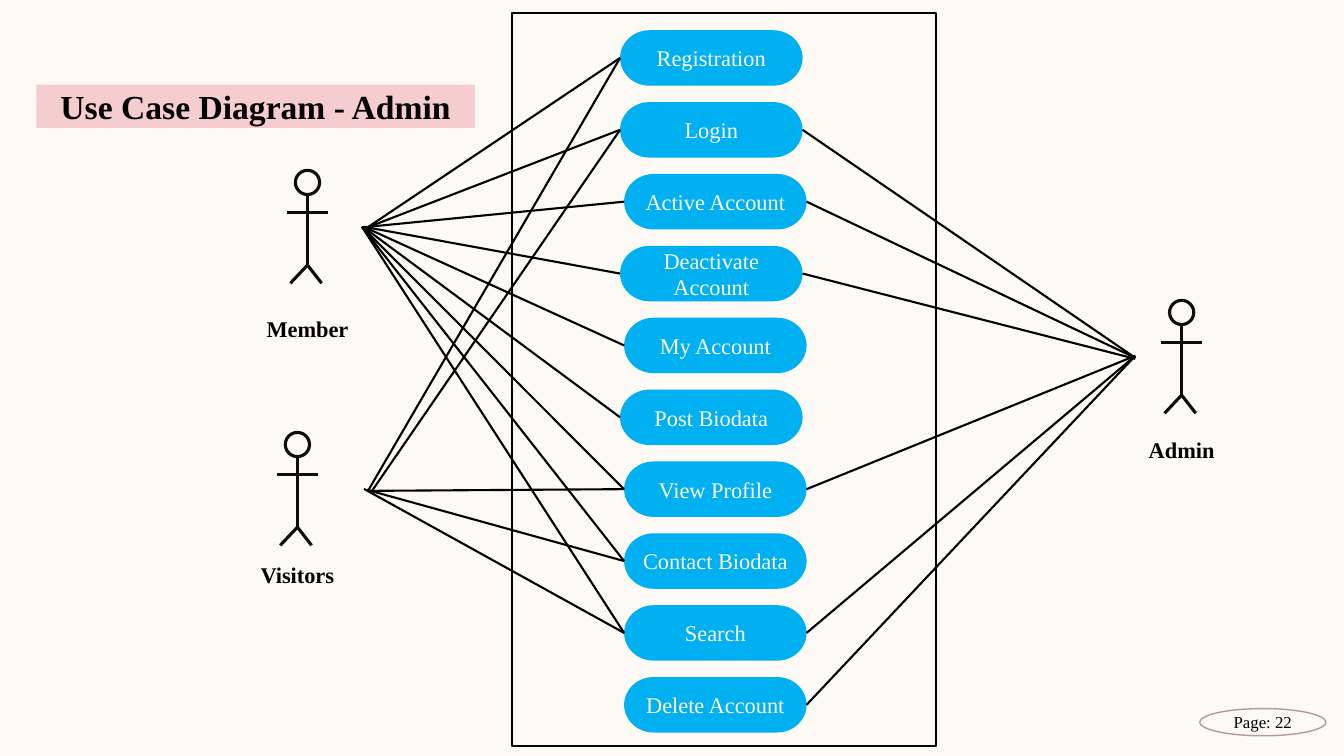
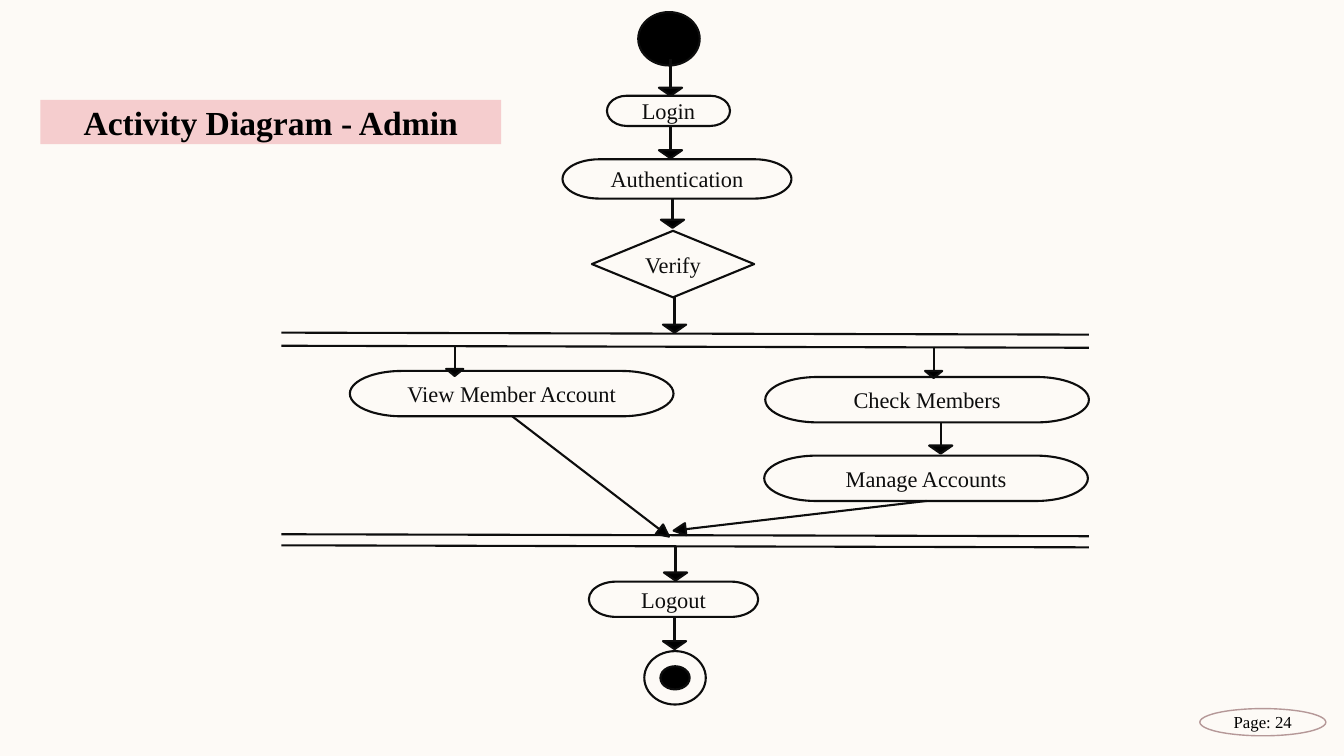
import math

import lxml.etree
import pptx
import pptx.dml.color
import pptx.enum.shapes
import pptx.enum.text
import pptx.oxml.ns
import pptx.util

SHAPE = pptx.enum.shapes.MSO_SHAPE
LEFT_SITE, RIGHT_SITE = 1, 3  # connection sites of a terminator
FONT = "Times New Roman"
COLORS = {
    "paper": "FDFAF6",
    "band": "F5CDCE",
    "case": "00B0F0",
    "ink": "0D0D0D",
    "black": "000000",
    "badge": "B59898",
}

# The slide is 75 grid rows high; columns are as wide as rows are high
WIDTH, HEIGHT = pptx.util.Inches(13.33), pptx.util.Inches(7.5)
CELL = HEIGHT / 75

# Use cases from top to bottom, with their left columns
CASE_TOP, CASE_PITCH, CASE_SIZE = 3, 7.13, (18.1, 5.5)
CASES = {
    "Registration": 61.5,
    "Login": 61.5,
    "Active Account": 61.9,
    "Deactivate Account": 61.5,
    "My Account": 61.9,
    "Post Biodata": 61.5,
    "View Profile": 61.9,
    "Contact Biodata": 61.9,
    "Search": 61.9,
    "Delete Account": 61.9,
}

# Actors: name, centre column, head row, label row, side of the cases,
# and where the line from each use case ends
ACTORS = [
    ("Member", 30.5, 16.9, 29.8, LEFT_SITE, {
        "Registration": (36.1, 22.8),
        "Login": (36.6, 22.5),
        "Active Account": (36.5, 22.5),
        "Deactivate Account": (36.1, 22.5),
        "My Account": (36.5, 22.7),
        "Post Biodata": (36, 22.5),
        "View Profile": (35.9, 22.5),
        "Contact Biodata": (35.9, 22.5),
        "Search": (35.9, 22.5),
    }),
    ("Visitors", 29.5, 42.9, 54.2, LEFT_SITE, {
        "Registration": (36.5, 48.7),
        "Login": (36.9, 48.7),
        "View Profile": (36.6, 48.7),
        "Contact Biodata": (36.4, 48.6),
        "Search": (36.1, 48.5),
    }),
    ("Admin", 117.2, 29.8, 41.8, RIGHT_SITE, {
        "Login": (112.6, 35.5),
        "Active Account": (112.6, 35.5),
        "Deactivate Account": (112.6, 35.6),
        "View Profile": (112.6, 35.3),
        "Search": (112.6, 35.3),
        "Delete Account": (112.6, 35.3),
    }),
]

# Activity steps: text, preset, left, top, width, height
STEPS = [
    ("Login", SHAPE.FLOWCHART_TERMINATOR, 60.2, 9.5, 12.2, 3),
    ("Authentication", SHAPE.FLOWCHART_TERMINATOR, 55.8, 15.8, 22.7, 3.9),
    ("Verify", SHAPE.FLOWCHART_DECISION, 58.7, 22.9, 16.1, 6.6),
    ("View Member Account", SHAPE.FLOWCHART_TERMINATOR, 34.7, 36.8, 32.1, 4.5),
    ("Check Members", SHAPE.FLOWCHART_TERMINATOR, 75.9, 37.4, 32.1, 4.5),
    ("Manage Accounts", SHAPE.FLOWCHART_TERMINATOR, 75.8, 45.2, 32.1, 4.5),
    ("Logout", SHAPE.FLOWCHART_TERMINATOR, 58.4, 57.7, 16.8, 3.5),
]

# Arrows: start column and row, end column and row
WIDE_HEAD, SMALL_HEAD, SLANTED_HEAD = (2.3, 0.8), (1.7, 0.7), (1.2, 1.2)
ARROWS = {
    WIDE_HEAD: [
        (66.5, 5.9, 66.5, 8.7),
        (66.5, 12.5, 66.5, 14.9),
        (66.7, 19.7, 66.7, 21.8),
        (66.9, 29.4, 66.9, 32.2),
        (93.3, 42, 93.3, 44.2),
        (67, 54.2, 67, 56.8),
        (66.9, 61.3, 66.9, 63.6),
    ],
    SMALL_HEAD: [(45.1, 34.3, 45.1, 36.6), (92.6, 34.4, 92.6, 36.8)],
    SLANTED_HEAD: [(50.8, 41.3, 65.4, 52.5), (91.9, 49.7, 68, 52.5)],
}
BAR_ROWS = (33, 34.3, 53, 54.1)


def grid(*cells):
    return [round(c * CELL) for c in cells]


def rgb(name):
    return pptx.dml.color.RGBColor.from_string(COLORS[name])


def write(sp, text, size, color, bold=False):
    tf = sp.text_frame
    tf.word_wrap = True
    tf.auto_size = pptx.enum.text.MSO_AUTO_SIZE.NONE
    tf.vertical_anchor = pptx.enum.text.MSO_ANCHOR.MIDDLE
    tf.margin_left = tf.margin_right = pptx.util.Inches(0.05)
    p = tf.paragraphs[0]
    p.text = text
    p.alignment = pptx.enum.text.PP_ALIGN.CENTER
    p.font.name, p.font.size, p.font.bold = FONT, pptx.util.Pt(size), bold
    p.font.color.rgb = rgb(color)


def add_shape(s, preset, at, fill=None, line=None, weight=1.5):
    sp = s.shapes.add_shape(preset, *grid(*at))
    sp.shadow.inherit = False
    if fill:
        sp.fill.solid()
        sp.fill.fore_color.rgb = rgb(fill)
    else:
        sp.fill.background()
    if line:
        sp.line.color.rgb = rgb(line)
        sp.line.width = pptx.util.Pt(weight)
    else:
        sp.line.fill.background()
    return sp


def add_line(s, x0, y0, x1, y1, color="ink", weight=1.5):
    ln = s.shapes.add_connector(
        pptx.enum.shapes.MSO_CONNECTOR.STRAIGHT, *grid(x0, y0, x1, y1))
    ln.line.color.rgb = rgb(color)
    ln.line.width = pptx.util.Pt(weight)
    lxml.etree.SubElement(ln._element.spPr, pptx.oxml.ns.qn("a:effectLst"))
    return ln


def add_arrow(s, x0, y0, x1, y1, head):
    """Line with a triangle whose base sits on the line's end."""
    add_line(s, x0, y0, x1, y1)
    w, h = head
    dx, dy = x1 - x0, y1 - y0
    reach = h / 2 / math.hypot(dx, dy)
    cx, cy = x1 + dx * reach, y1 + dy * reach
    sp = add_shape(s, SHAPE.FLOWCHART_EXTRACT,
                   (cx - w / 2, cy - h / 2, w, h), "black", "ink")
    sp.rotation = math.degrees(math.atan2(dx, -dy))


def add_actor(s, name, cx, top, label_top):
    add_shape(s, SHAPE.OVAL, (cx - 1.2, top, 2.4, 2.4), None, "ink", 2.25)
    hip, feet = top + 9.4, top + 11.2
    limbs = [
        (cx, top + 2.5, cx, hip),
        (cx - 2, top + 4.2, cx + 2, top + 4.2),
        (cx, hip, cx - 1.7, feet),
        (cx, hip, cx + 1.4, feet),
    ]
    for limb in limbs:
        add_line(s, *limb, weight=2.25)
    label = s.shapes.add_textbox(*grid(cx - 11.3, label_top, 22.6, 5.5))
    write(label, name, 16, "black", bold=True)


def add_slide(prs, title, band, page):
    """Slide with its title band and page badge."""
    s = prs.slides.add_slide(prs.slide_layouts[5])
    sp = s.shapes.title
    sp.left, sp.top, sp.width, sp.height = grid(*band)
    sp.fill.solid()
    sp.fill.fore_color.rgb = rgb("band")
    write(sp, title, 24, "black", bold=True)
    badge = add_shape(s, SHAPE.OVAL, (119, 70.3, 12.5, 2.7), None, "badge", 1)
    write(badge, f"Page: {page}", 12, "black")
    return s


def use_case_slide(prs):
    s = add_slide(prs, "Use Case Diagram - Admin", (3.6, 8.4, 43.5, 4.3), 22)
    add_shape(s, SHAPE.RECTANGLE, (50.8, 1.3, 42, 72.7), None, "black")

    # Use cases
    cases = {}
    for i, (name, left) in enumerate(CASES.items()):
        at = (left, CASE_TOP + i * CASE_PITCH, *CASE_SIZE)
        cases[name] = add_shape(s, SHAPE.FLOWCHART_TERMINATOR, at, "case")
        write(cases[name], name, 16, "paper")

    # Actors and their links
    for name, cx, top, label_top, site, links in ACTORS:
        add_actor(s, name, cx, top, label_top)
        for case, (x, y) in links.items():
            ln = add_line(s, x, y, x, y, "black")
            ln.begin_connect(cases[case], site)


def activity_slide(prs):
    s = add_slide(prs, "Activity Diagram - Admin", (4, 9.9, 45.7, 4.4), 24)

    # Start and end nodes
    add_shape(s, SHAPE.OVAL, (63.3, 1.2, 6.1, 5.3), "black", "ink")
    add_shape(s, SHAPE.OVAL, (63.9, 64.6, 6.1, 5.3), None, "ink")
    add_shape(s, SHAPE.OVAL, (65.5, 66.1, 2.9, 2.3), "black", "ink")

    # Steps
    for text, preset, *at in STEPS:
        write(add_shape(s, preset, at, None, "ink"), text, 16, "ink")

    # Fork and join bars, then the flow
    for row in BAR_ROWS:
        add_line(s, 27.9, row, 108, row + 0.2)
    for head, arrows in ARROWS.items():
        for ends in arrows:
            add_arrow(s, *ends, head)


def main():
    prs = pptx.Presentation()
    prs.slide_width, prs.slide_height = WIDTH, HEIGHT
    bg = prs.slide_master.background.fill
    bg.solid()
    bg.fore_color.rgb = rgb("paper")
    use_case_slide(prs)
    activity_slide(prs)
    prs.save("out.pptx")


if __name__ == "__main__":
    main()
